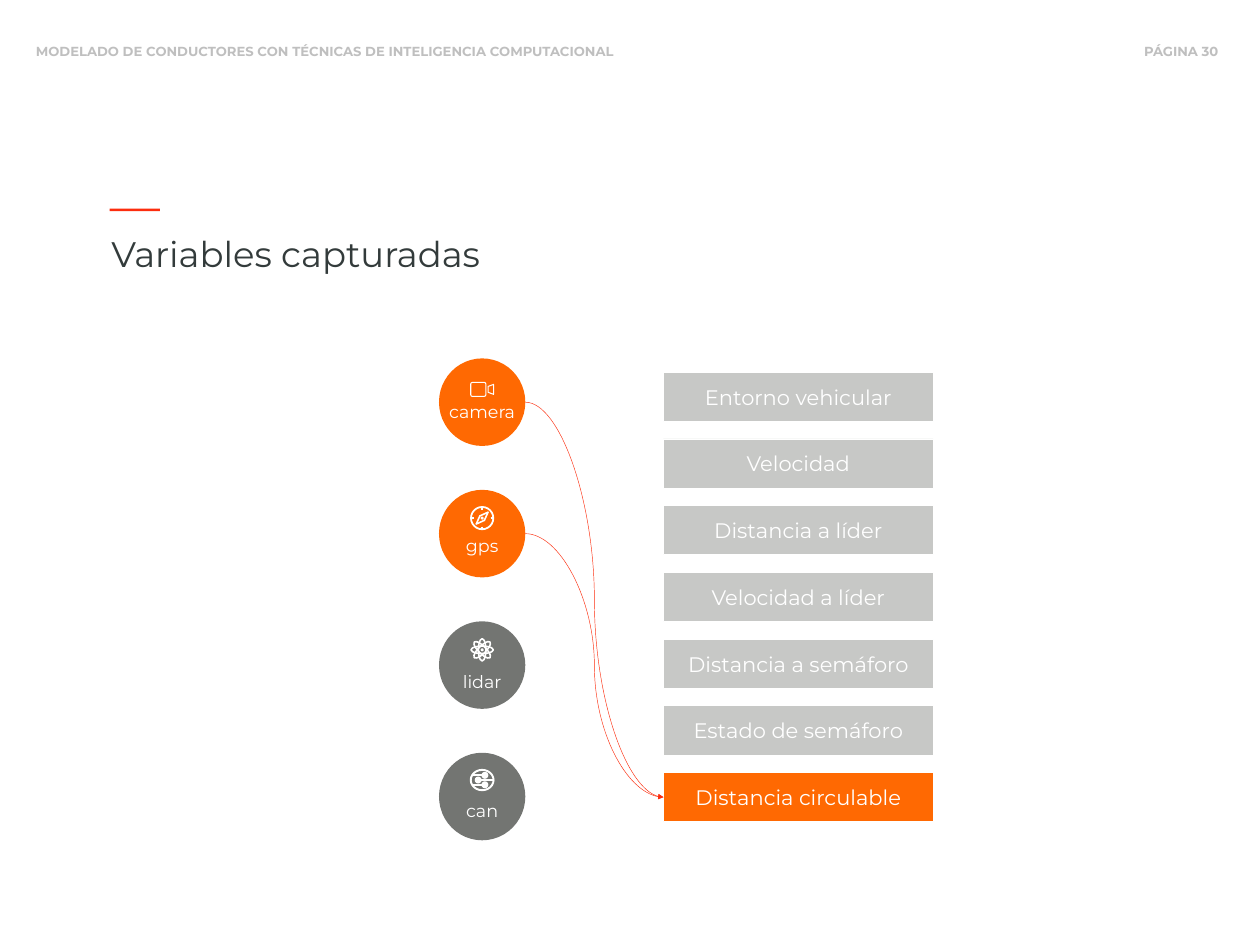
from math import cos, pi, sin

from lxml import etree
from pptx import Presentation
from pptx.dml.color import RGBColor
from pptx.enum.shapes import MSO_CONNECTOR, MSO_SHAPE
from pptx.enum.text import MSO_ANCHOR, MSO_AUTO_SIZE, PP_ALIGN
from pptx.oxml.ns import qn
from pptx.util import Cm, Pt

OVAL, RECT, ROUND = MSO_SHAPE.OVAL, MSO_SHAPE.RECTANGLE, MSO_SHAPE.ROUNDED_RECTANGLE
STRAIGHT, CURVE = MSO_CONNECTOR.STRAIGHT, MSO_CONNECTOR.CURVE
LEFT, CENTER = PP_ALIGN.LEFT, PP_ALIGN.CENTER
TOP, MIDDLE = MSO_ANCHOR.TOP, MSO_ANCHOR.MIDDLE
NO_FIT = MSO_AUTO_SIZE.NONE

FONT = "Montserrat"
WHITE, ORANGE, RED = "FFFFFF", "FF6902", "FC2D0E"
GRAY, SILVER, PALE, DARK = "737572", "C7C8C6", "BFBFBF", "333B3B"


def color(text):
    return RGBColor.from_string(text)


def write(shape, text, size, hue, align=CENTER, anchor=TOP, bold=False):
    frame = shape.text_frame
    frame.text = text
    frame.vertical_anchor = anchor
    para = frame.paragraphs[0]
    para.alignment = align
    font = para.runs[0].font
    font.name, font.size, font.bold = FONT, Pt(size), bold
    font.color.rgb = color(hue)


def label(slide, x, y, w, h, text, size, hue, bold=False):
    box = slide.shapes.add_textbox(Cm(x), Cm(y), Cm(w), Cm(h))
    box.text_frame.word_wrap = False
    write(box, text, size, hue, bold=bold)
    return box


def paint(shape, fill=None, line=None, width=1):
    shape.shadow.inherit = False
    if fill:
        shape.fill.solid()
        shape.fill.fore_color.rgb = color(fill)
    else:
        shape.fill.background()
    if line:
        shape.line.color.rgb = color(line)
        shape.line.width = Pt(width)
    else:
        shape.line.fill.background()


def block(slide, kind, x, y, w, h, fill=None, line=None, width=1):
    shape = slide.shapes.add_shape(kind, Cm(x), Cm(y), Cm(w), Cm(h))
    paint(shape, fill, line, width)
    return shape


def disc(slide, x, y, r, fill=None, line=None, width=1):
    return block(slide, OVAL, x - r, y - r, 2 * r, 2 * r, fill, line, width)


def outline(slide, points, width):
    first, *rest = [(Cm(x), Cm(y)) for x, y in points]
    path = slide.shapes.build_freeform(*first)
    path.add_line_segments(rest, close=True)
    paint(path.convert_to_shape(), line=WHITE, width=width)


def link(slide, kind, x1, y1, x2, y2, hue, width, arrow=False):
    line = slide.shapes.add_connector(kind, Cm(x1), Cm(y1), Cm(x2), Cm(y2))
    line.line.color.rgb = color(hue)
    line.line.width = Pt(width)
    props = line.element.spPr
    if arrow:
        etree.SubElement(props.find(qn("a:ln")), qn("a:tailEnd"), type="triangle")
    etree.SubElement(props, qn("a:effectLst"))


def camera(slide, x, y):
    frame = block(slide, ROUND, x - 0.46, y - 0.28, 0.61, 0.56, line=WHITE, width=1.2)
    frame.adjustments[0] = 0.12
    lens = [(0.24, -0.12), (0.46, -0.2), (0.46, 0.2), (0.24, 0.12)]
    outline(slide, [(x + dx, y + dy) for dx, dy in lens], 1.2)


def compass(slide, x, y):
    disc(slide, x, y, 0.45, line=WHITE, width=2)
    for dx, dy in ((1, 0), (0, 1), (-1, 0), (0, -1)):
        link(slide, STRAIGHT, x + 0.34 * dx, y + 0.34 * dy,
             x + 0.45 * dx, y + 0.45 * dy, WHITE, 1.8)
    needle = [(-0.24, 0.24), (-0.09, -0.09), (0.24, -0.24), (0.09, 0.09)]
    outline(slide, [(x + dx, y + dy) for dx, dy in needle], 1.8)
    disc(slide, x, y, 0.06, WHITE)


def atom(slide, x, y):
    for turn in range(0, 180, 45):
        orbit = block(slide, OVAL, x - 0.15, y - 0.45, 0.3, 0.9, line=WHITE, width=1.8)
        orbit.rotation = turn
    disc(slide, x, y, 0.06, WHITE)


def bus(slide, x, y):
    block(slide, OVAL, x - 0.46, y - 0.41, 0.92, 0.82, line=WHITE, width=2.2)
    for dx, dy, rim in ((0.11, -0.19, -0.4), (0.11, 0.19, -0.4), (-0.16, 0, 0.45)):
        disc(slide, x + dx, y + dy, 0.14, WHITE)
        link(slide, STRAIGHT, x + dx, y + dy, x + rim, y + dy, WHITE, 2)


def heading(slide):
    for x, w, text in (
        (0.91, 24.38, "MODELADO DE CONDUCTORES CON TÉCNICAS DE INTELIGENCIA COMPUTACIONAL"),
        (45.53, 4.19, "PÁGINA 30"),
    ):
        box = label(slide, x, 1.55, w, 1.02, text, 15, PALE, True)
        box.text_frame.margin_top = box.text_frame.margin_bottom = Cm(0.2)
    title = slide.shapes.title
    title.left, title.top, title.width, title.height = Cm(4.24), Cm(9.22), Cm(27.86), Cm(1.98)
    write(title, "Variables capturadas", 40.5, DARK, LEFT)
    title.text_frame.auto_size = NO_FIT
    block(slide, RECT, 4.42, 8.41, 2.03, 0.1, RED)


def main():
    deck = Presentation()
    deck.slide_width, deck.slide_height = Cm(50.8), Cm(38.1)
    slide = deck.slides.add_slide(deck.slide_layouts[5])
    heading(slide)

    left, wide, tall = 17.7, 3.48, 3.53
    mid = left + wide / 2
    sensors = [
        ("camera", ORANGE, camera, 1.25, 1.6),
        ("gps", ORANGE, compass, 1.14, 1.69),
        ("lidar", GRAY, atom, 1.15, 1.87),
        ("can", GRAY, bus, 1.1, 1.76),
    ]
    starts = []
    for i, (name, fill, icon, rise, drop) in enumerate(sensors):
        top = 14.45 + 5.3 * i
        block(slide, OVAL, left, top, wide, tall, fill)
        icon(slide, mid, top + rise)
        label(slide, left, top + drop, wide, 1.12, name, 20, WHITE)
        if fill == ORANGE:
            starts.append(top + tall / 2)

    names = ["Entorno vehicular", "Velocidad", "Distancia a líder", "Velocidad a líder",
             "Distancia a semáforo", "Estado de semáforo", "Distancia circulable"]
    edge, high = 26.75, 1.98
    for i, name in enumerate(names):
        top = 15.01 + 2.69 * i
        fill = ORANGE if name == names[-1] else SILVER
        bar = block(slide, RECT, edge, top, 10.87, high, fill, WHITE)
        write(bar, name, 24, WHITE, anchor=MIDDLE)
    for start in starts:
        link(slide, CURVE, left + wide, start, edge, top + high / 2, RED, 0.5, True)

    deck.save("out.pptx")


if __name__ == "__main__":
    main()
